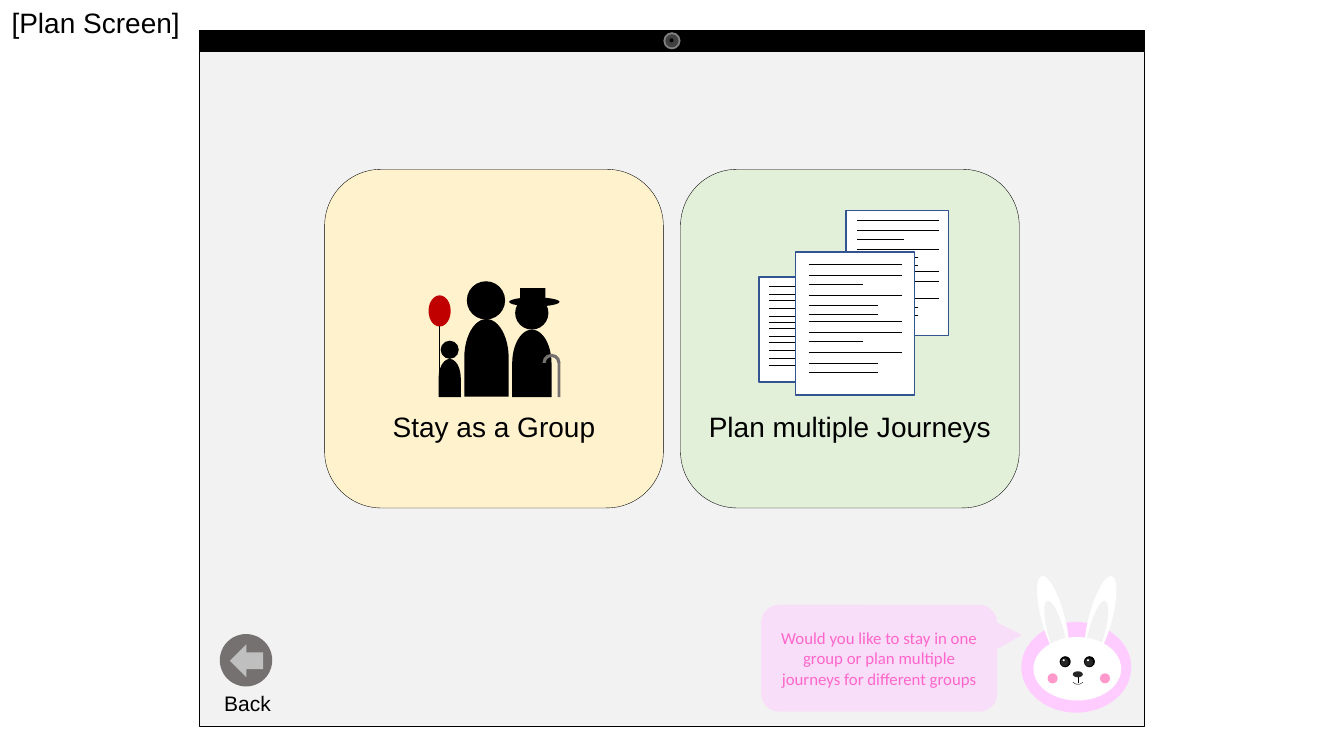
from dataclasses import dataclass
from typing import Optional

from lxml import etree
from pptx import Presentation
from pptx import util as u
from pptx.dml.color import RGBColor
from pptx.enum import shapes, text
from pptx.oxml.ns import qn

EMU_PER_PX = 9144  # 100 px to the inch
BLACK, WHITE, SCREEN, GREY = "000000", "FFFFFF", "F2F2F2", "767171"
PINK, CHARCOAL = "FFCCFF", "262626"

KIND = shapes.MSO_SHAPE
OVAL, RECT, BODY = KIND.OVAL, KIND.RECTANGLE, KIND.FLOWCHART_DELAY


def px(length: int) -> u.Emu:
    return u.Emu(length * EMU_PER_PX)


def colour(code: str) -> RGBColor:
    return RGBColor.from_string(code)


@dataclass(frozen=True)
class Part:
    kind: KIND
    left: int
    top: int
    width: int
    height: int
    fill: Optional[str] = BLACK
    line: Optional[str] = None
    line_pt: float = 0.25
    rotation: int = 0
    adjustments: tuple[float, ...] = ()


@dataclass(frozen=True)
class Label:
    words: str
    left: int
    top: int
    width: int
    height: int
    size: int = 20


@dataclass(frozen=True)
class Page:
    left: int
    top: int
    width: int
    height: int
    skipped_row: Optional[int] = None


def draw_part(parent, part: Part):
    shape = parent.add_shape(part.kind, *map(px, (part.left, part.top, part.width, part.height)))
    shape.shadow.inherit = False
    shape.rotation = part.rotation
    for index, value in enumerate(part.adjustments):
        shape.adjustments[index] = value
    if part.fill:
        shape.fill.solid()
        shape.fill.fore_color.rgb = colour(part.fill)
    else:
        shape.fill.background()
    if part.line:
        shape.line.color.rgb = colour(part.line)
        shape.line.width = u.Pt(part.line_pt)
    else:
        shape.line.fill.background()
    return shape


def draw_group(slide, parts: list[Part]):
    group = slide.shapes.add_group_shape().shapes
    for part in parts:
        draw_part(group, part)
    return group


def draw_line(parent, x1: int, y1: int, x2: int, y2: int, width_pt: float) -> None:
    line = parent.add_connector(shapes.MSO_CONNECTOR.STRAIGHT, *map(px, (x1, y1, x2, y2)))
    line.line.color.rgb = colour(BLACK)
    line.line.width = u.Pt(width_pt)
    etree.SubElement(line._element.spPr, qn("a:effectLst"))


def write(frame, words: str, size: int, font: str = "Arial", ink: str = BLACK) -> None:
    frame.text = words
    frame.word_wrap = True
    paragraph = frame.paragraphs[0]
    paragraph.alignment = text.PP_ALIGN.CENTER
    for run in paragraph.runs:
        run.font.name, run.font.size = font, u.Pt(size)
        run.font.color.rgb = colour(ink)


def draw_label(parent, label: Label) -> None:
    box = parent.add_textbox(*map(px, (label.left, label.top, label.width, label.height)))
    box.text_frame.margin_left = box.text_frame.margin_right = 0
    write(box.text_frame, label.words, label.size)


# Rows of the full-size page: offset from its top, and length
LONG, MIDDLE, SHORT = 93, 69, 54
ROWS = [(12, LONG), (23, LONG), (32, SHORT), (43, LONG), (53, MIDDLE), (62, MIDDLE),
        (69, LONG), (80, LONG), (89, SHORT), (100, LONG), (110, MIDDLE), (119, MIDDLE)]
ROW_INDENT, FULL_HEIGHT = 13, 142


def draw_page(slide, page: Page) -> None:
    scale = page.height / FULL_HEIGHT
    group = draw_group(slide, [Part(RECT, page.left, page.top, page.width, page.height,
                                    WHITE, "325491", 1)])
    start = page.left + round(ROW_INDENT * scale)
    for index, (offset, length) in enumerate(ROWS):
        if index != page.skipped_row:
            y = page.top + round(offset * scale)
            draw_line(group, start, y, start + round(length * scale), y, 0.5)


def person(centre: int, head_top: int, head: int, body_top: int, width: int, height: int) -> list[Part]:
    """A round head over a delay shape turned upright."""
    return [
        Part(OVAL, centre - head // 2, head_top, head, head),
        Part(BODY, centre - height // 2, body_top + (height - width) // 2, height, width,
             rotation=270),
    ]


def eye(left: int) -> list[Part]:
    return [Part(OVAL, left, 651, 11, 11),
            Part(OVAL, left + 1, 653, 8, 8, CHARCOAL),
            Part(OVAL, left + 3, 654, 2, 2, WHITE)]


def ear(left: int, inner_left: int, tilt: int) -> list[Part]:
    return [Part(OVAL, left, 570, 23, 87, WHITE, rotation=tilt),
            Part(OVAL, inner_left, 595, 16, 63, SCREEN, rotation=tilt)]


DEVICE = [
    Part(RECT, 198, 51, 937, 669, SCREEN, BLACK),
    Part(RECT, 198, 30, 937, 20, BLACK, BLACK, 1),
    Part(OVAL, 658, 32, 17, 17, "808080"),
    Part(OVAL, 660, 34, 13, 13, "404040"),
    Part(OVAL, 664, 38, 4, 4),
]
CARDS = [Part(KIND.ROUNDED_RECTANGLE, left, 168, 336, 336, fill, BLACK)
         for left, fill in ((322, "FFF2CC"), (675, "E2F0D9"))]
FAMILY = [
    *person(527, 294, 33, 327, 39, 67),
    *person(482, 279, 38, 317, 44, 77),
    *person(446, 338, 18, 356, 22, 38),
    Part(KIND.BLOCK_ARC, 538, 351, 18, 18, GREY, adjustments=(108, 0, 0.18)),
    Part(RECT, 553, 360, 3, 34, GREY),
    Part(OVAL, 505, 295, 50, 9),
    Part(RECT, 516, 286, 25, 14),
    Part(OVAL, 425, 293, 22, 31, "C00000"),
]
PAGES = [Page(753, 275, 86, 104), Page(839, 209, 102, 124, skipped_row=8), Page(789, 250, 118, 142)]
CARD_LABELS = [Label("Stay as a Group", 376, 401, 228, 44),
               Label("Plan multiple Journeys", 675, 401, 336, 44)]
BACK_DISC = Part(OVAL, 218, 629, 52, 52, GREY)
BACK_ARROW = Part(KIND.LEFT_ARROW, 228, 639, 33, 33, "BFBFBF")
BACK_LABEL = Label("Back", 211, 680, 69, 35, 15)
RABBIT = [
    Part(OVAL, 1013, 617, 109, 90, PINK),
    *ear(1033, 1039, 345),
    *ear(1080, 1080, 15),
    Part(OVAL, 1025, 632, 87, 63, WHITE),
    *eye(1051),
    Part(OVAL, 1064, 666, 10, 6, CHARCOAL),
    *eye(1075),
    Part(KIND.ARC, 1062, 665, 14, 14, None, BLACK, rotation=135),
    *(Part(OVAL, left, 668, 10, 10, "FF99CC") for left in (1039, 1091)),
]
SPEECH = Part(KIND.ROUNDED_RECTANGULAR_CALLOUT, 755, 600, 234, 106, PINK,
              adjustments=(0.605, -0.217, 0.167))


def draw_title(slide) -> None:
    title = slide.shapes.title
    title.left, title.top, title.width, title.height = map(px, (-19, 0, 228, 44))
    frame = title.text_frame
    write(frame, "[Plan Screen]", 20)
    frame.auto_size = text.MSO_AUTO_SIZE.NONE
    frame.vertical_anchor = text.MSO_ANCHOR.TOP


def draw_speech(slide) -> None:
    speech = draw_part(slide.shapes, SPEECH)
    fill = speech._element.spPr.find(qn("a:solidFill"))
    etree.SubElement(fill[0], qn("a:alpha"), val="50000")
    speech.text_frame.vertical_anchor = text.MSO_ANCHOR.MIDDLE
    write(speech.text_frame,
          "Would you like to stay in one group or plan multiple journeys for different groups",
          12, "Calibri", "FF66CC")


def main() -> None:
    deck = Presentation()
    deck.slide_width, deck.slide_height = px(1333), px(750)
    slide = deck.slides.add_slide(deck.slide_layouts[5])
    draw_title(slide)
    draw_group(slide, DEVICE)
    for card in CARDS:
        draw_part(slide.shapes, card)
    family = draw_group(slide, FAMILY)
    draw_line(family, 436, 323, 436, 377, 0.25)
    for label in CARD_LABELS:
        draw_label(slide.shapes, label)
    for page in PAGES:
        draw_page(slide, page)
    back = draw_group(slide, [BACK_DISC])
    draw_label(back, BACK_LABEL)
    draw_part(slide.shapes, BACK_ARROW)
    rabbit = draw_group(slide, RABBIT)
    draw_line(rabbit, 1069, 672, 1069, 678, 0.25)
    draw_speech(slide)
    deck.save("out.pptx")


if __name__ == "__main__":
    main()
